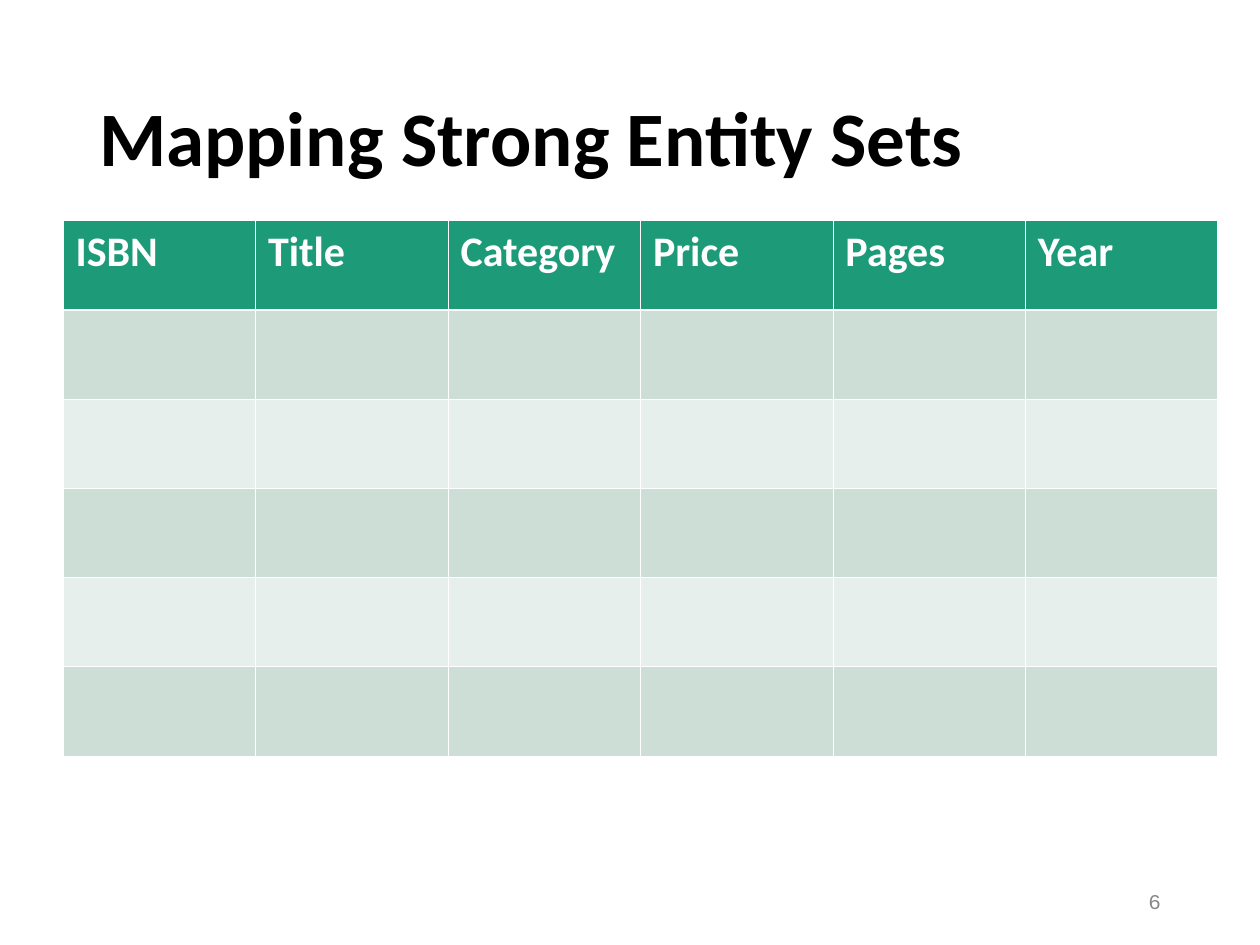
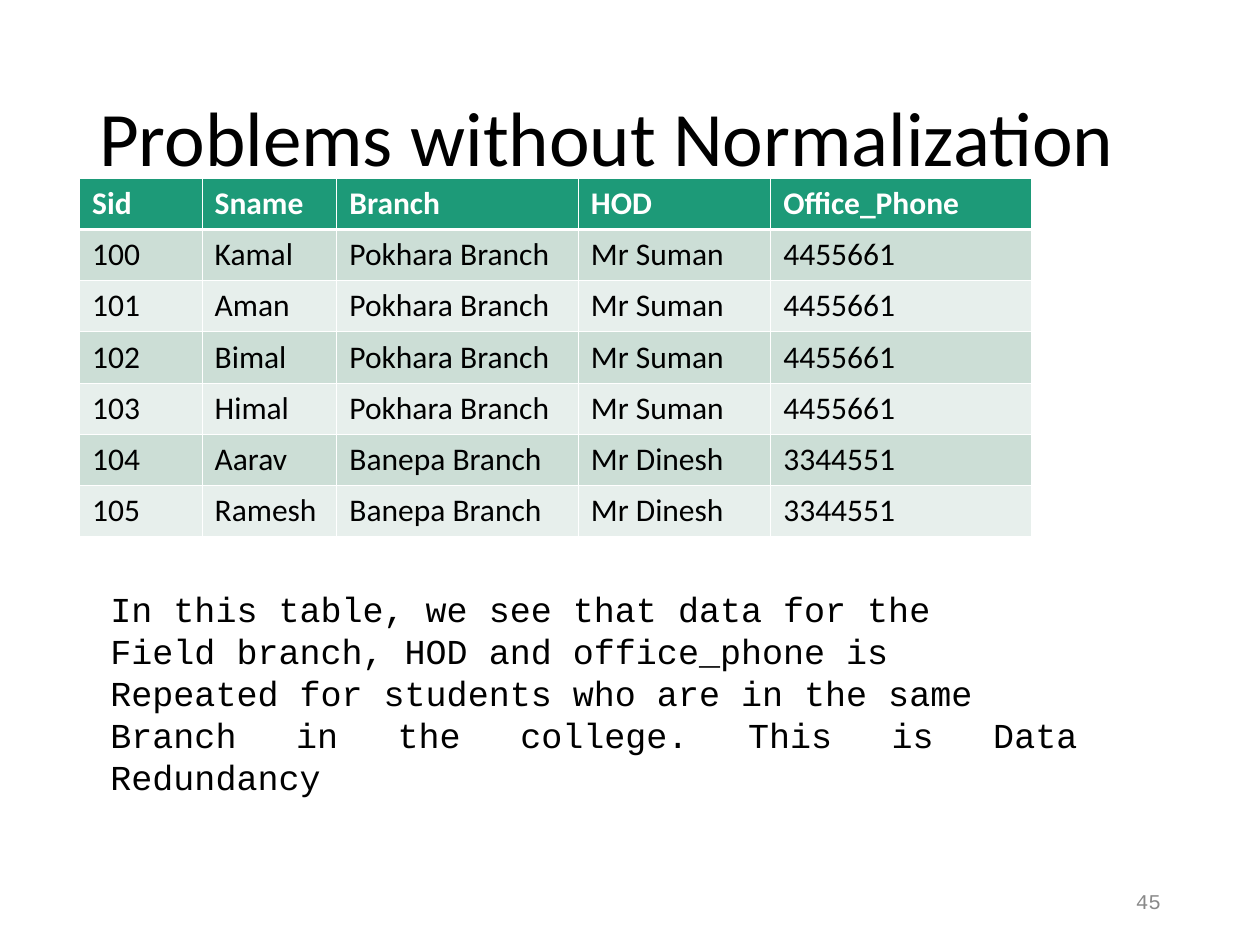
"""Builds two database slides, each with a title, a banded table and a page number."""
import pptx
import pptx.dml.color
import pptx.enum.text
import pptx.oxml
import pptx.oxml.ns
import pptx.util

PAGES = [
    {
        "title": "Mapping Strong Entity Sets",
        "bold": True,
        "number": "6",
        "corner": (36, 126),
        "columns": [110] * 6,
        "row_height": 51,
        "size": 24,
        "rows": [("ISBN", "Title", "Category", "Price", "Pages", "Year")] + [("",) * 6] * 5,
        "remarks": [],
    },
    {
        "title": "Problems without Normalization",
        "bold": False,
        "number": "45",
        "corner": (45.5, 102),
        "columns": [70, 77, 138, 110, 149],
        "row_height": 28.8,
        "size": 18,
        "rows": [
            ("Sid", "Sname", "Branch", "HOD", "Office_Phone"),
            ("100", "Kamal", "Pokhara Branch", "Mr Suman", "4455661"),
            ("101", "Aman", "Pokhara Branch", "Mr Suman", "4455661"),
            ("102", "Bimal", "Pokhara Branch", "Mr Suman", "4455661"),
            ("103", "Himal", "Pokhara Branch", "Mr Suman", "4455661"),
            ("104", "Aarav", "Banepa Branch", "Mr Dinesh", "3344551"),
            ("105", "Ramesh", "Banepa Branch", "Mr Dinesh", "3344551"),
        ],
        "remarks": [
            "In this table, we see that data for the",
            "Field branch, HOD and office_phone is",
            "Repeated for students who are in the same",
            "Branch in the college. This is Data Redundancy",
        ],
    },
]
BODY_FONT, CODE_FONT = "Calibri", "Courier New"
BLACK, WHITE, GREY = "000000", "FFFFFF", "898989"
HEADER, BANDS = "1D9A78", ("E7EFEC", "CCDED6")
THIN, THICK = 0.45, 1.47
TITLE_AREA = (49.5, 29, 621.5, 104)
NUMBER_AREA = (508.5, 500.5, 162, 28.5)
REMARKS_AREA = (56, 332, 567, 104)
Align = pptx.enum.text.PP_ALIGN
Anchor = pptx.enum.text.MSO_ANCHOR
AutoSize = pptx.enum.text.MSO_AUTO_SIZE


def points(values):
    return [pptx.util.Pt(value) for value in values]


def colour(code):
    return pptx.dml.color.RGBColor.from_string(code)


def style(para, font, size, code, bold=False, align=Align.LEFT):
    para.alignment = align
    for span in para.runs:
        span.font.name = font
        span.font.size = pptx.util.Pt(size)
        span.font.bold = bold
        span.font.color.rgb = colour(code)


def add_title(page, text, bold):
    title = page.shapes.title
    title.left, title.top, title.width, title.height = points(TITLE_AREA)
    frame = title.text_frame
    frame.text = text
    frame.auto_size = AutoSize.NONE
    frame.vertical_anchor = Anchor.MIDDLE
    frame.paragraphs[0].line_spacing = 0.9
    style(frame.paragraphs[0], BODY_FONT, 44, BLACK, bold)


def add_text(page, area, lines, size, code, align):
    frame = page.shapes.add_textbox(*points(area)).text_frame
    frame.word_wrap = True
    frame.text = "\n".join(lines)
    for para in frame.paragraphs:
        style(para, CODE_FONT, size, code, align=align)
    return frame


def add_borders(cell, top, bottom):
    properties = cell._tc.get_or_add_tcPr()
    for side, width in zip("LRTB", (THIN, THIN, top, bottom)):
        properties.append(pptx.oxml.parse_xml(
            f'<a:ln{side} {pptx.oxml.ns.nsdecls("a")} w="{int(pptx.util.Pt(width))}">'
            f'<a:solidFill><a:srgbClr val="{WHITE}"/></a:solidFill></a:ln{side}>'))


def add_table(page, corner, columns, row_height, size, rows):
    area = (*corner, sum(columns), row_height * len(rows))
    table = page.shapes.add_table(len(rows), len(columns), *points(area)).table
    for column, width in zip(table.columns, points(columns)):
        column.width = width
    for index, texts in enumerate(rows):
        is_header = index == 0
        table.rows[index].height = pptx.util.Pt(row_height)
        for cell, text in zip(table.rows[index].cells, texts):
            add_borders(cell, THICK if index == 1 else THIN, THICK if is_header else THIN)
            cell.fill.solid()
            cell.fill.fore_color.rgb = colour(HEADER if is_header else BANDS[index % 2])
            if text:
                cell.text_frame.text = text
                style(cell.text_frame.paragraphs[0], BODY_FONT, size,
                      WHITE if is_header else BLACK, is_header)


def main():
    deck = pptx.Presentation()
    deck.slide_width, deck.slide_height = points((720, 540))
    for content in PAGES:
        page = deck.slides.add_slide(deck.slide_layouts.get_by_name("Title Only"))
        add_title(page, content["title"], content["bold"])
        add_table(page, content["corner"], content["columns"], content["row_height"],
                  content["size"], content["rows"])
        number = add_text(page, NUMBER_AREA, [content["number"]], 12, GREY, Align.RIGHT)
        number.vertical_anchor = Anchor.MIDDLE
        if content["remarks"]:
            remarks = add_text(page, REMARKS_AREA, content["remarks"], 20, BLACK, Align.JUSTIFY)
            remarks.word_wrap = False
            remarks.auto_size = AutoSize.SHAPE_TO_FIT_TEXT
    deck.save("out.pptx")


if __name__ == "__main__":
    main()
